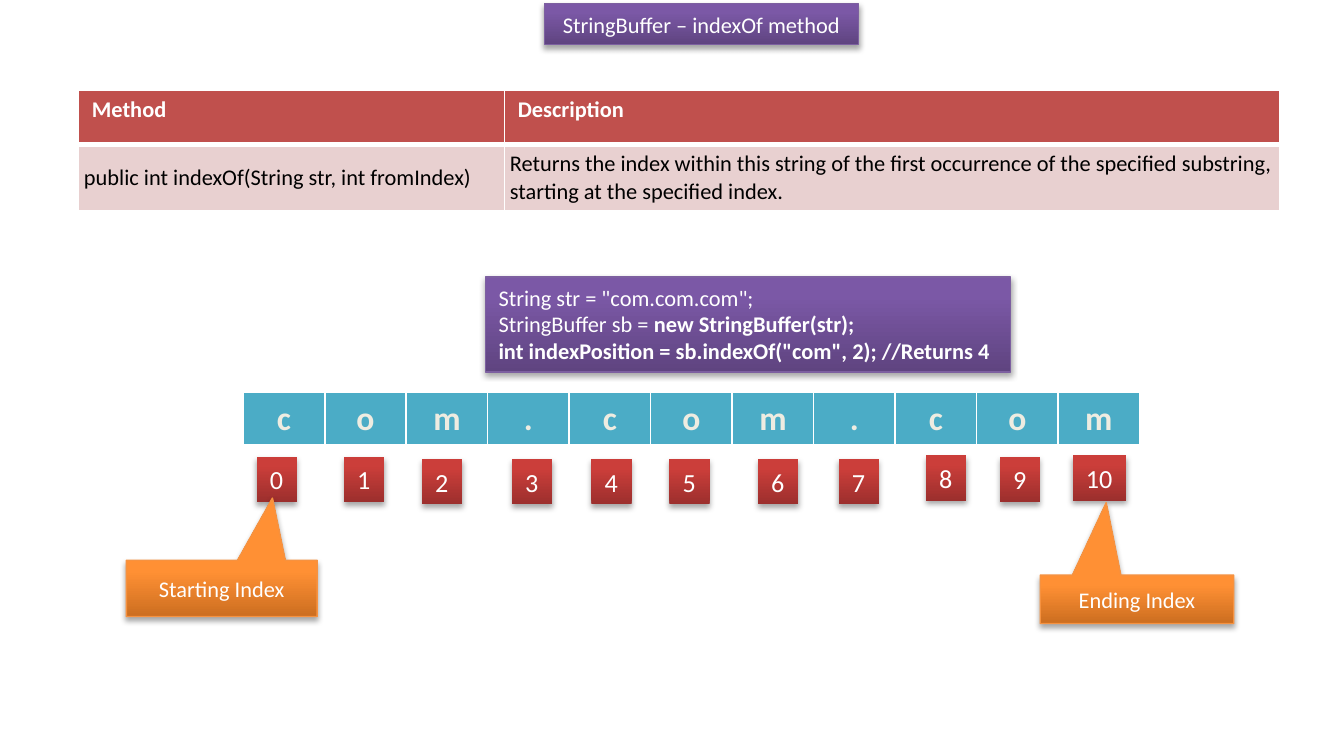
from typing import NamedTuple

from lxml.etree import SubElement
from pptx import Presentation
from pptx.dml.color import RGBColor
from pptx.enum.shapes import MSO_SHAPE as Shape
from pptx.enum.text import MSO_ANCHOR as Anchor, MSO_AUTO_SIZE as AutoSize, PP_ALIGN as Align
from pptx.oxml import parse_xml
from pptx.oxml.ns import nsdecls, qn
from pptx.util import Pt

FONT = "Calibri"
COLORS = {
    "white": "FFFFFF", "black": "000000", "cream": "EEECE1",
    "header": "C0504D", "row": "E8D0D0", "letter": "4BACC6",
    "purple_dark": "5F4480", "purple": "7B58A6", "purple_line": "7D60A0",
    "red_dark": "9C2F2D", "red": "CB3E3A",
    "orange_dark": "CC6E20", "orange": "FF9034", "orange_line": "F69240",
}


class Box(NamedTuple):
    left: float
    top: float
    width: float
    height: float


class IndexTile(NamedTuple):
    left: float
    top: float
    width: float = 21.6


class Callout(NamedTuple):
    text: str
    box: Box
    tip: tuple[float, float]


METHOD_TABLE = [
    ["Method", "Description"],
    ["public int indexOf(String str, int fromIndex)",
     "Returns the index within this string of the first occurrence of the "
     "specified substring, starting at the specified index."],
]
INDEX_TILES = [
    IndexTile(137.5, 244.8), IndexTile(184.3, 244.8), IndexTile(226.1, 246.2),
    IndexTile(274.3, 246.2), IndexTile(316.8, 246.2), IndexTile(358.6, 246.2),
    IndexTile(406.1, 246.2), IndexTile(449.3, 246.2), IndexTile(496.1, 244.1),
    IndexTile(535.7, 244.8), IndexTile(574.6, 244.1, 28.8),
]
CALLOUTS = [
    Callout("Starting Index", Box(67.7, 300.2, 102.2, 30.2), (0.266, -1.604)),
    Callout("Ending Index", Box(557.3, 308.2, 103.7, 25.9), (-0.159, -2.001)),
]


def rgb(name: str) -> RGBColor:
    return RGBColor.from_string(COLORS[name])


def format_text(text_frame, size: float, color: str = "white", align=Align.LEFT,
                bold: bool | None = None) -> None:
    for paragraph in text_frame.paragraphs:
        paragraph.alignment = align
        for run in paragraph.runs:
            run.font.name = FONT
            run.font.size = Pt(size)
            run.font.color.rgb = rgb(color)
            if bold is not None:
                run.font.bold = bold


def style_panel(shape, color: str, outlined: bool = True) -> None:
    """Vertical gradient, darker at the bottom, with a soft shadow below."""
    shape.fill.gradient()
    shape.fill.gradient_angle = 90
    stops = shape.fill.gradient_stops
    for stop, name, position in zip(stops, (f"{color}_dark", color), (0, 0.8)):
        stop.color.rgb = rgb(name)
        stop.position = position
    if outlined:
        shape.line.color.rgb = rgb(f"{color}_line")
        shape.line.width = Pt(0.75)
    else:
        shape.line.fill.background()
    shape.shadow.inherit = False
    effects = shape._element.spPr.find(qn("a:effectLst"))
    shadow = SubElement(effects, qn("a:outerShdw"), blurRad=str(Pt(3.1)),
                        dist=str(Pt(1.8)), dir="5400000", rotWithShape="0")
    shadow_color = SubElement(shadow, qn("a:srgbClr"), val=COLORS["black"])
    SubElement(shadow_color, qn("a:alpha"), val="35000")


def add_panel(slide, kind, box: Box, color: str, outlined: bool = True):
    shape = slide.shapes.add_shape(kind, *map(Pt, box))
    style_panel(shape, color, outlined)
    return shape


def fit_to_text(text_frame) -> None:
    text_frame.word_wrap = False
    text_frame.vertical_anchor = Anchor.TOP
    text_frame.auto_size = AutoSize.SHAPE_TO_FIT_TEXT


def style_cell(cell, fill: str, top: float = 1, bottom: float = 1) -> None:
    cell.fill.solid()
    cell.fill.fore_color.rgb = rgb(fill)
    properties = cell._tc.get_or_add_tcPr()
    borders = {"lnL": 1, "lnR": 1, "lnT": top, "lnB": bottom}
    for position, (tag, width) in enumerate(borders.items()):
        properties.insert(position, parse_xml(
            f'<a:{tag} {nsdecls("a")} w="{Pt(width)}"><a:solidFill>'
            f'<a:srgbClr val="{COLORS["white"]}"/></a:solidFill></a:{tag}>'))


def add_table(slide, rows: list[list[str]], left: float, top: float,
              widths: list[float], heights: list[float]):
    table = slide.shapes.add_table(len(rows), len(widths), Pt(left), Pt(top),
                                   Pt(sum(widths)), Pt(sum(heights))).table
    for column, width in zip(table.columns, widths):
        column.width = Pt(width)
    for row, height, texts in zip(table.rows, heights, rows):
        row.height = Pt(height)
        for cell, text in zip(row.cells, texts):
            cell.text_frame.text = text
    return table


def main() -> None:
    presentation = Presentation()
    presentation.slide_width, presentation.slide_height = Pt(720), Pt(396)
    slide = presentation.slides.add_slide(presentation.slide_layouts[5])

    # Title
    title = slide.shapes.title
    title.left, title.top, title.width, title.height = map(Pt, (291.6, 2, 168.5, 21.8))
    style_panel(title, "purple")
    title.text_frame.text = "StringBuffer – indexOf method"
    title.text_frame.auto_size = AutoSize.NONE
    format_text(title.text_frame, 12, align=Align.CENTER)

    # Method description
    methods = add_table(slide, METHOD_TABLE, 42, 48.2, [228.2, 415.4], [29.5, 33.5])
    for cell in methods.rows[0].cells:
        style_cell(cell, "header", bottom=3)
        format_text(cell.text_frame, 12, bold=True)
    for cell in methods.rows[1].cells:
        style_cell(cell, "row", top=3)
        cell.vertical_anchor = Anchor.MIDDLE
        cell.margin_left = cell.margin_right = Pt(3)
        cell.margin_top = cell.margin_bottom = Pt(3)
        format_text(cell.text_frame, 12, "black", bold=False)

    # Letters of the string
    text = "com.com.com"
    letters = add_table(slide, [list(text)], 130.3, 210.2, [43.67] * len(text), [29.2])
    for cell in letters.iter_cells():
        style_cell(cell, "letter", bottom=3)
        format_text(cell.text_frame, 18, "cream", Align.CENTER, True)

    # Index under each letter
    for index, tile in enumerate(INDEX_TILES):
        shape = add_panel(slide, Shape.RECTANGLE,
                          Box(tile.left, tile.top, tile.width, 24.2), "red", False)
        shape.text_frame.text = str(index)
        fit_to_text(shape.text_frame)
        format_text(shape.text_frame, 14)

    # Callouts for the first and last index
    for callout in CALLOUTS:
        shape = add_panel(slide, Shape.RECTANGULAR_CALLOUT, callout.box, "orange")
        shape.adjustments[0], shape.adjustments[1] = callout.tip
        shape.text_frame.text = callout.text
        shape.text_frame.vertical_anchor = Anchor.MIDDLE
        format_text(shape.text_frame, 12, align=Align.CENTER)

    # Code sample
    code = add_panel(slide, Shape.RECTANGLE, Box(260, 148.5, 281.5, 50.9), "purple").text_frame
    code.text = ('String str = "com.com.com";\n'
                 "StringBuffer sb = \n"
                 'int indexPosition = sb.indexOf("com", 2); //Returns 4')
    constructor = code.paragraphs[1].add_run()
    constructor.text = "new StringBuffer(str);"
    fit_to_text(code)
    format_text(code, 12)
    for run in (constructor, code.paragraphs[2].runs[0]):
        run.font.bold = True

    presentation.save("out.pptx")


if __name__ == "__main__":
    main()
